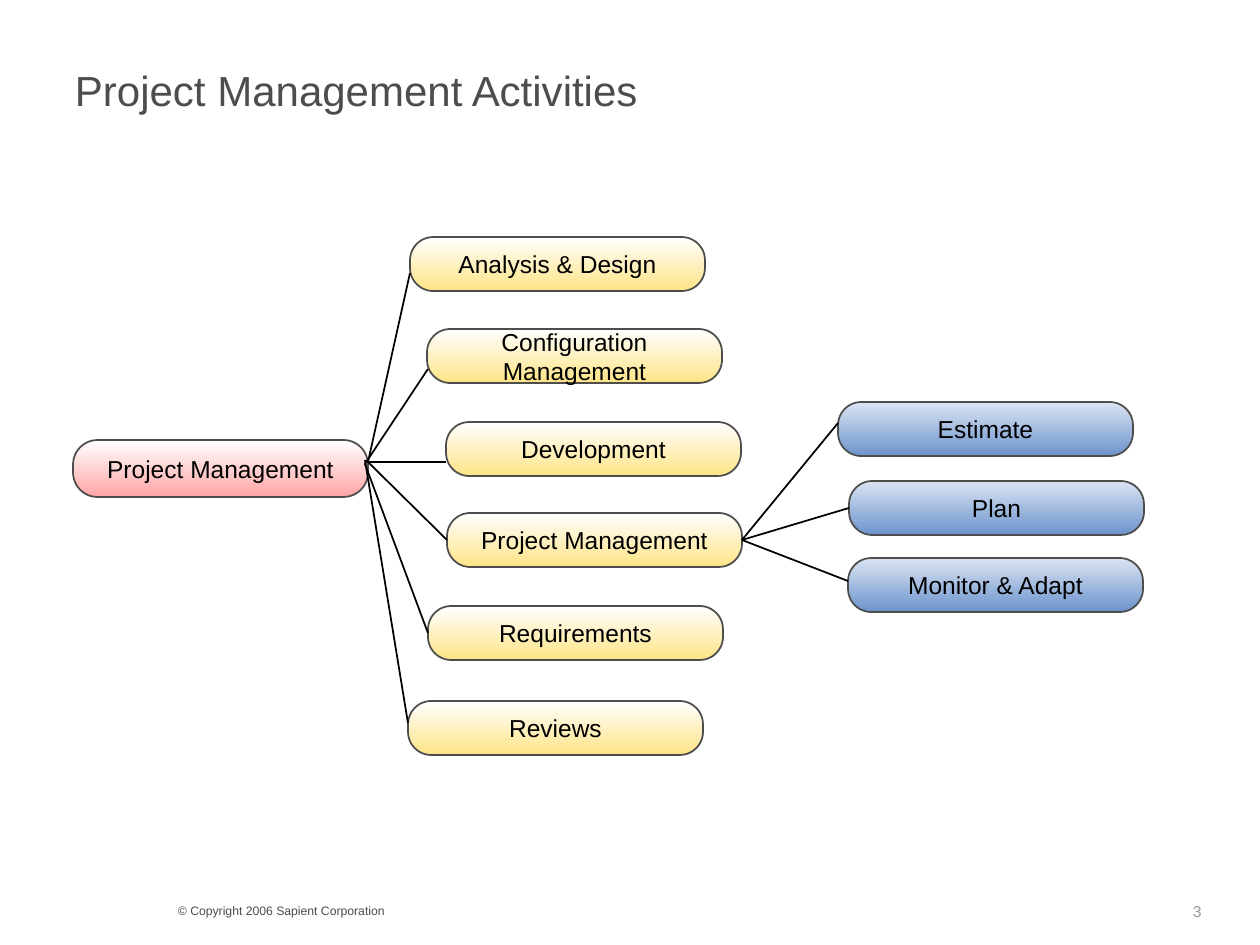
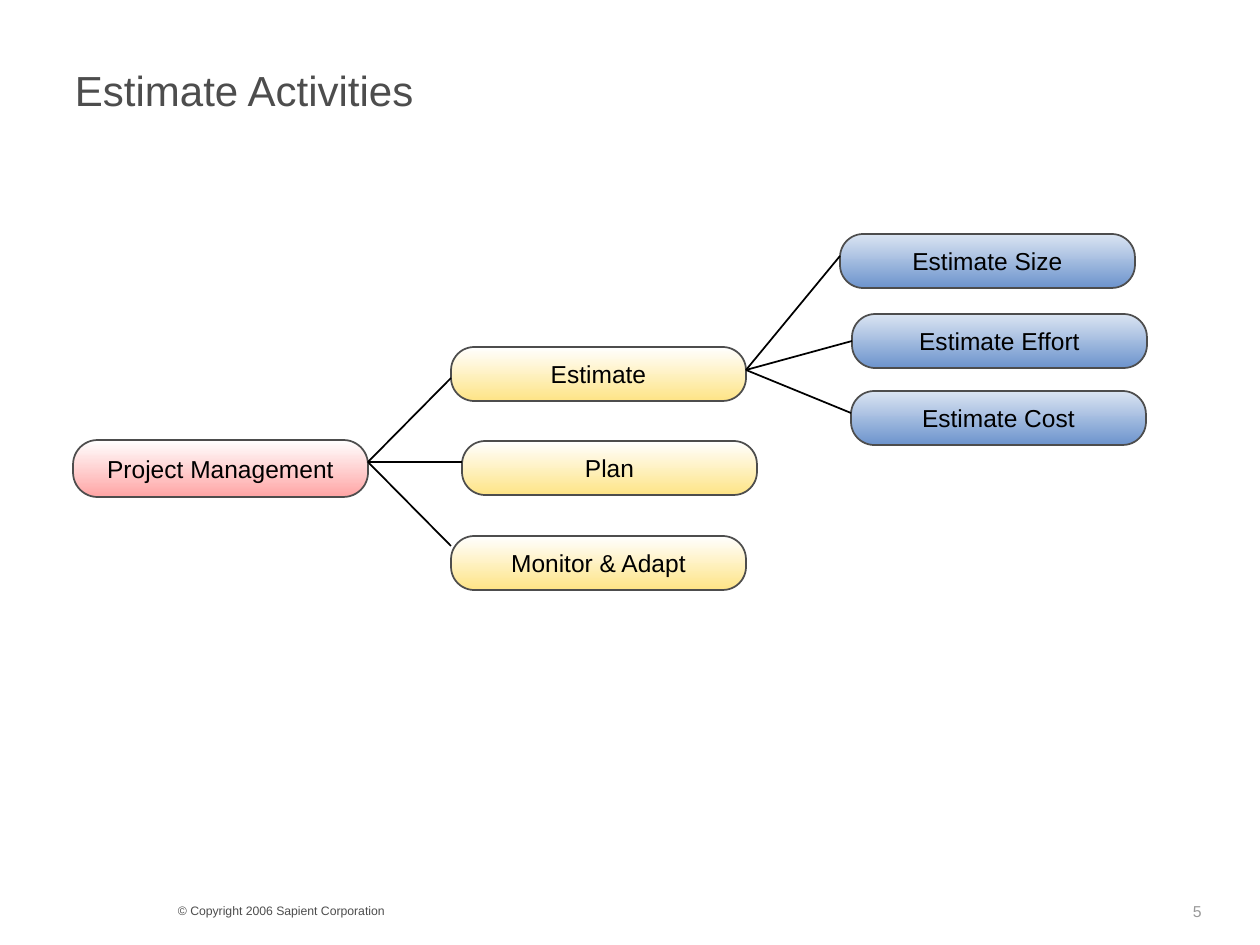
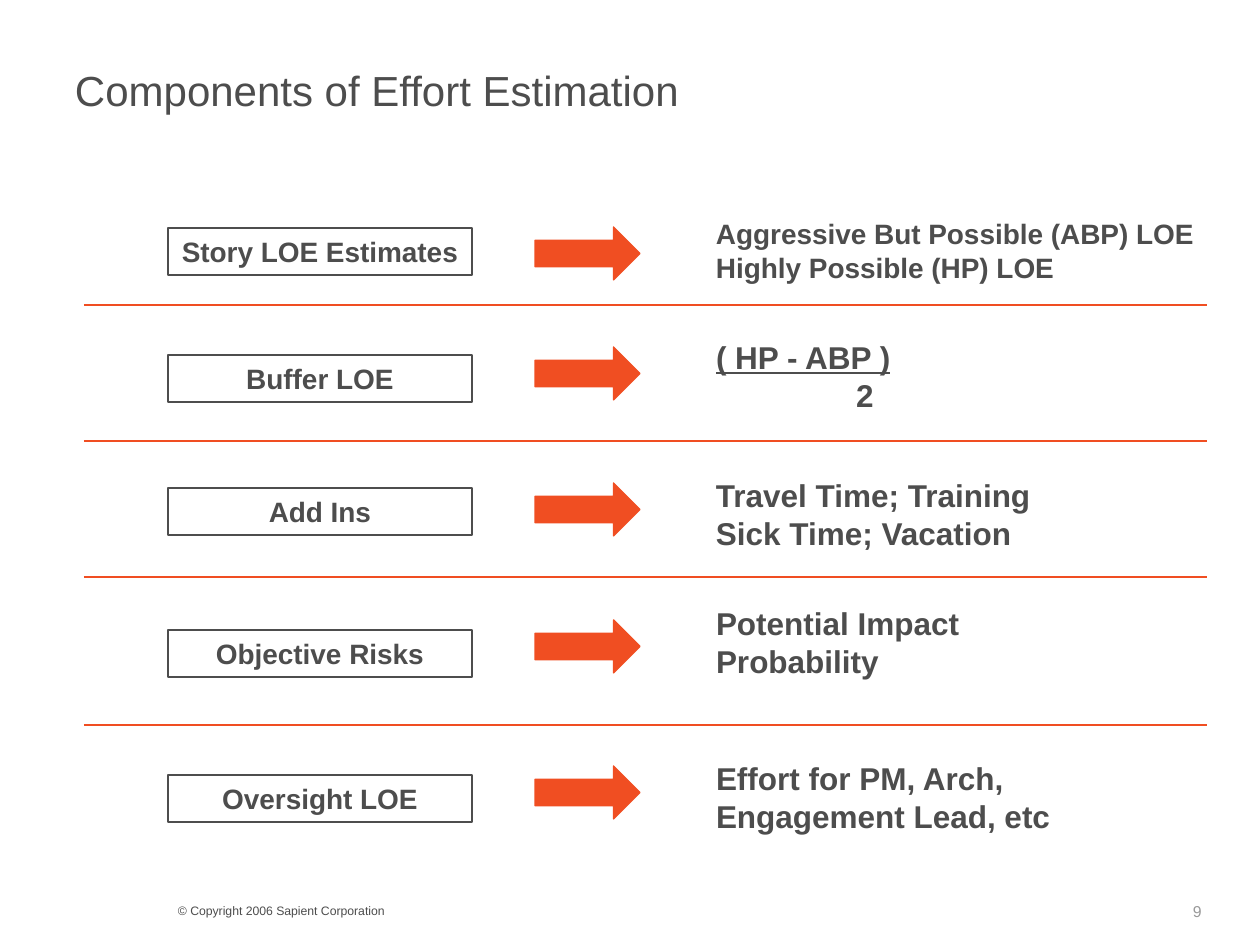
from dataclasses import dataclass
from typing import Optional

from lxml.etree import SubElement
from pptx import Presentation
from pptx.dml.color import RGBColor
from pptx.enum.shapes import MSO_CONNECTOR, MSO_SHAPE
from pptx.enum.text import MSO_ANCHOR, PP_ALIGN
from pptx.oxml.ns import qn
from pptx.util import Emu, Pt

PX_PER_INCH = 126
SLIDE_W, SLIDE_H = 1260, 945
INK, GREY, BLACK, ORANGE = "4D4D4D", "999999", "000000", "F04E22"
COPYRIGHT = "© Copyright 2006 Sapient Corporation"

NODE_W, NODE_H, ROOT_H = 295, 54, 57
SNAP = 2  # px within which a link end joins the middle of a node's side
LEFT_SITE, RIGHT_SITE = 1, 3
Point = tuple[int, int]


@dataclass(frozen=True)
class TextStyle:
    size: int
    color: str = INK
    bold: bool = False
    align: PP_ALIGN = PP_ALIGN.LEFT
    line_spacing: float = 1.01
    inset: Point = (13, 6)


TITLE = TextStyle(24, line_spacing=1.0)
FOOTER = TextStyle(7)
PAGE_NUMBER = TextStyle(9, GREY, line_spacing=1.0, inset=(11, 5))
ROOT_TEXT = TextStyle(14, BLACK, align=PP_ALIGN.CENTER)
NODE_TEXT = TextStyle(14, BLACK, align=PP_ALIGN.CENTER, inset=(0, 6))
LABEL = TextStyle(16, bold=True, align=PP_ALIGN.CENTER)
DETAIL_SMALL = TextStyle(16, bold=True)
DETAIL = TextStyle(18, bold=True)


@dataclass(frozen=True)
class NodeStyle:
    top: str
    bottom: str
    h: int = NODE_H
    text: TextStyle = NODE_TEXT


RED = NodeStyle("FFFFFF", "FFA5A5", ROOT_H, ROOT_TEXT)
YELLOW = NodeStyle("FFFFFF", "FEE486")
BLUE = NodeStyle("DAE4F2", "6D94CD")


@dataclass(frozen=True)
class Node:
    text: str
    x: int
    y: int
    style: NodeStyle

    def side(self, site: int) -> Point:
        return self.x + (NODE_W if site == RIGHT_SITE else 0), self.y + self.style.h // 2


@dataclass(frozen=True)
class Link:
    start: Point
    end: Point


@dataclass(frozen=True)
class Row:
    label: str
    label_y: int
    arrow_y: int
    detail: Optional[str]  # None stands for the buffer formula
    detail_y: int
    detail_w: int
    detail_h: int = 89
    style: TextStyle = DETAIL


ROOT = Node("Project Management", 73, 440, RED)
HUB = (368, 462)

ACTIVITY_NODES = [
    ROOT,
    Node("Estimate", 838, 402, BLUE),
    Node("Plan", 849, 481, BLUE),
    Node("Monitor & Adapt", 848, 558, BLUE),
    Node("Analysis & Design", 410, 237, YELLOW),
    Node("Configuration Management", 427, 329, YELLOW),
    Node("Development", 446, 422, YELLOW),
    Node("Project Management", 447, 513, YELLOW),
    Node("Requirements", 428, 606, YELLOW),
    Node("Reviews", 408, 701, YELLOW),
]
ACTIVITY_LINKS = [
    Link(HUB, (410, 273)),
    Link((365, 464), (428, 369)),
    Link(HUB, (446, 462)),
    Link(HUB, (447, 540)),
    Link((365, 464), (428, 631)),
    Link((365, 460), (408, 723)),
    *(Link((743, 539), end) for end in [(838, 423), (848, 508), (848, 581)]),
]

ESTIMATE_NODES = [
    ROOT,
    Node("Estimate", 451, 347, YELLOW),
    Node("Plan", 462, 441, YELLOW),
    Node("Monitor & Adapt", 451, 536, YELLOW),
    Node("Estimate Size", 840, 234, BLUE),
    Node("Estimate Effort", 852, 314, BLUE),
    Node("Estimate Cost", 851, 391, BLUE),
]
ESTIMATE_LINKS = [
    *(Link(HUB, end) for end in [(451, 378), (462, 462), (451, 546)]),
    *(Link((746, 370), end) for end in [(840, 256), (851, 339), (851, 413)]),
]

EFFORT_ROWS = [
    Row("Story LOE Estimates", 228, 227,
        "Aggressive But Possible (ABP) LOE Highly Possible (HP) LOE", 210, 514, 81, DETAIL_SMALL),
    Row("Buffer LOE", 355, 347, None, 331, 210),
    Row("Add Ins", 488, 483, "Travel Time; Training Sick Time; Vacation", 469, 378),
    Row("Objective Risks", 630, 620, "Potential Impact Probability", 597, 284),
    Row("Oversight LOE", 775, 766, "Effort for PM, Arch, Engagement Lead, etc", 752, 462),
]
DIVIDERS = [305, 441, 577, 725]


def px(n: int) -> Emu:
    return Emu(round(n * 914400 / PX_PER_INCH))


def rgb(color: str) -> RGBColor:
    return RGBColor.from_string(color)


def apply(target, **values) -> None:
    for name, value in values.items():
        setattr(target, name, value)


def add_paragraph(tf, text: str, st: TextStyle, first: bool = True, **font):
    p = tf.paragraphs[0] if first else tf.add_paragraph()
    apply(p, alignment=st.align, line_spacing=st.line_spacing, space_before=Pt(0))
    r = p.add_run()
    r.text = text
    apply(r.font, name="Arial", size=Pt(st.size), bold=st.bold, **font)
    r.font.color.rgb = rgb(st.color)
    return p


def prepare_frame(tf, st: TextStyle) -> None:
    dx, dy = map(px, st.inset)
    apply(tf, word_wrap=True, vertical_anchor=MSO_ANCHOR.MIDDLE,
          margin_left=dx, margin_right=dx, margin_top=dy, margin_bottom=dy)


def add_text(s, x: int, y: int, w: int, h: int, text: Optional[str], st: TextStyle):
    tf = s.shapes.add_textbox(*map(px, (x, y, w, h))).text_frame
    prepare_frame(tf, st)
    if text is not None:
        add_paragraph(tf, text, st)
    return tf


def add_box(s, kind, x: int, y: int, w: int, h: int, line: str, width: float):
    sp = s.shapes.add_shape(kind, *map(px, (x, y, w, h)))
    sp.shadow.inherit = False
    sp.line.color.rgb = rgb(line)
    sp.line.width = Pt(width)
    return sp


def add_line(s, start: Point, end: Point, color: str, width: float):
    c = s.shapes.add_connector(MSO_CONNECTOR.STRAIGHT, *map(px, start + end))
    c.line.color.rgb = rgb(color)
    c.line.width = Pt(width)
    SubElement(c._element.spPr, qn("a:effectLst"))
    return c


def add_node(s, node: Node):
    st = node.style
    sp = add_box(s, MSO_SHAPE.ROUNDED_RECTANGLE, node.x, node.y, NODE_W, st.h, INK, 1)
    sp.adjustments[0] = 0.43
    sp.fill.gradient()
    sp.fill.gradient_angle = 270
    for stop, color in zip(sp.fill.gradient_stops, (st.top, st.bottom)):
        stop.color.rgb = rgb(color)
    prepare_frame(sp.text_frame, st.text)
    add_paragraph(sp.text_frame, node.text, st.text)
    return sp


def is_near(a: Point, b: Point) -> bool:
    return all(abs(i - j) <= SNAP for i, j in zip(a, b))


def add_tree(s, nodes: list[Node], links: list[Link]) -> None:
    """Draw nodes and links, joining link ends that meet the middle of a side."""
    drawn = [(node, add_node(s, node)) for node in nodes]
    for link in links:
        c = add_line(s, link.start, link.end, BLACK, 1)
        for node, sp in drawn:
            if is_near(link.start, node.side(RIGHT_SITE)):
                c.begin_connect(sp, RIGHT_SITE)
            if is_near(link.end, node.side(LEFT_SITE)):
                c.end_connect(sp, LEFT_SITE)


def add_formula(tf, st: TextStyle) -> None:
    add_paragraph(tf, "( HP - ABP )", st, underline=True)
    p = add_paragraph(tf, "2", st, first=False)
    p._p.get_or_add_pPr().set("marL", str(px(140)))


def add_row(s, row: Row) -> None:
    sp = add_box(s, MSO_SHAPE.RECTANGLE, 168, row.label_y, 304, 47, INK, 0.75)
    sp.fill.background()
    prepare_frame(sp.text_frame, LABEL)
    add_paragraph(sp.text_frame, row.label, LABEL)

    arrow = add_box(s, MSO_SHAPE.RIGHT_ARROW, 535, row.arrow_y, 105, 53, ORANGE, 0.75)
    arrow.fill.solid()
    arrow.fill.fore_color.rgb = rgb(ORANGE)

    tf = add_text(s, 703, row.detail_y, row.detail_w, row.detail_h, row.detail, row.style)
    if row.detail is None:
        add_formula(tf, row.style)


def add_slide(prs, title: str, number: int):
    s = prs.slides.add_slide(prs.slide_layouts[6])
    add_text(s, 165, 897, 504, 28, COPYRIGHT, FOOTER)
    add_text(s, 1182, 896, 78, 30, str(number), PAGE_NUMBER)
    add_text(s, 62, 55, 1135, 69, title, TITLE)
    return s


def main() -> None:
    prs = Presentation()
    prs.slide_width, prs.slide_height = px(SLIDE_W), px(SLIDE_H)

    add_tree(add_slide(prs, "Project Management Activities", 3), ACTIVITY_NODES, ACTIVITY_LINKS)
    add_tree(add_slide(prs, "Estimate Activities", 5), ESTIMATE_NODES, ESTIMATE_LINKS)

    s = add_slide(prs, "Components of Effort Estimation", 9)
    for row in EFFORT_ROWS:
        add_row(s, row)
    for y in DIVIDERS:
        add_line(s, (84, y), (1207, y), ORANGE, 0.75)

    prs.save("out.pptx")


if __name__ == "__main__":
    main()
